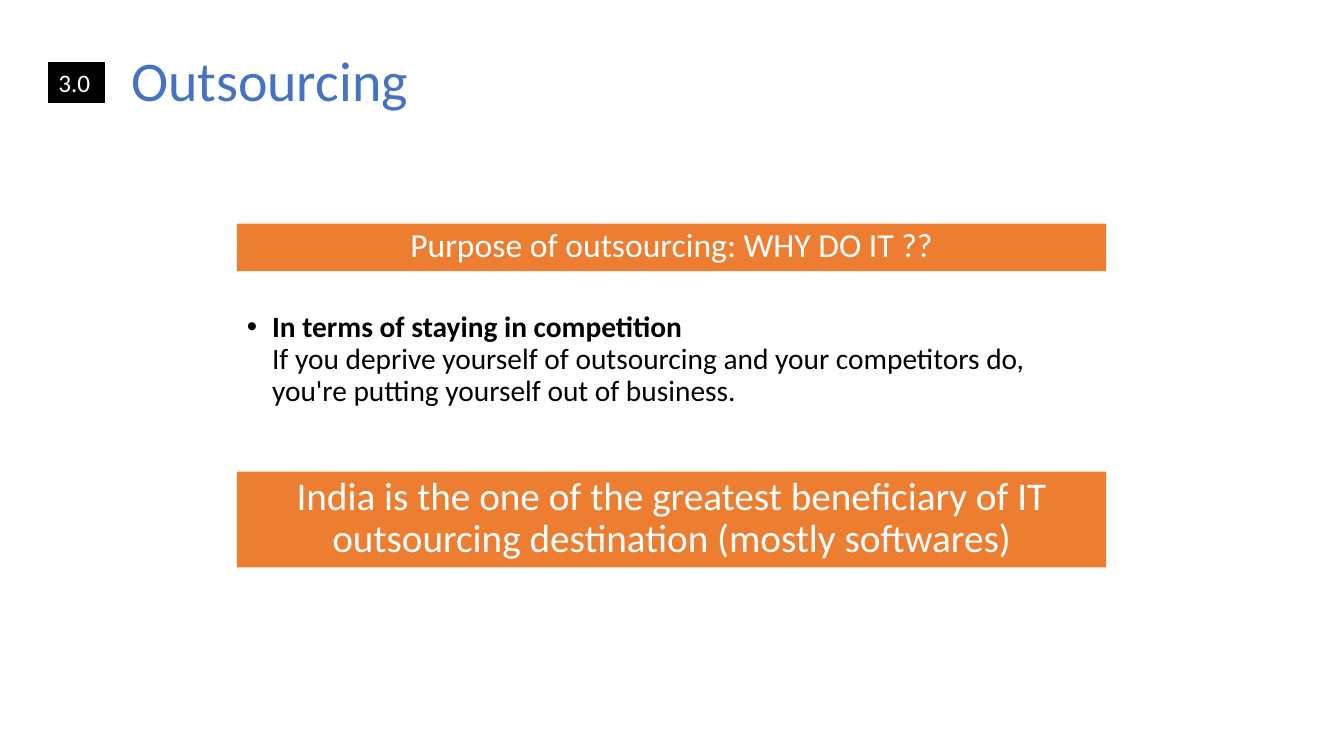
from pptx import Presentation
from pptx.dml.color import RGBColor
from pptx.enum.shapes import MSO_SHAPE as Shape
from pptx.enum.text import MSO_ANCHOR as Anchor, PP_ALIGN as Align
from pptx.oxml.ns import qn
from pptx.util import Inches, Pt
from lxml.etree import SubElement

TITLE = "Outsourcing"
NUMBER = "3.0"
POINT = (
    "In terms of staying in competition",
    "If you deprive yourself of outsourcing and your competitors do, "
    "you're putting yourself out of business.",
)
BANNERS = [
    ("Purpose of outsourcing: WHY DO IT ??", 2.22, 0.47, 24),
    ("India is the one of the greatest beneficiary of IT "
     "outsourcing destination (mostly softwares)", 4.68, 0.95, 28),
]
COLORS = {"title": "4472C4", "banner": "ED7D31", "badge": "000000",
          "text": "000000", "light": "FFFFFF"}
FONT = "Calibri"
COLUMN_LEFT, COLUMN_WIDTH = 2.35, 8.62


def color(name):
    return RGBColor.from_string(COLORS[name])


def style(para, size, tint, align=Align.LEFT, spacing=0.9):
    para.alignment = align
    para.line_spacing = spacing
    para.font.name = FONT
    para.font.size = Pt(size)
    para.font.color.rgb = color(tint)


def add_block(page, place, fill, text, size, align, spacing):
    block = page.shapes.add_shape(Shape.RECTANGLE, *map(Inches, place))
    block.shadow.inherit = False
    block.fill.solid()
    block.fill.fore_color.rgb = color(fill)
    block.line.fill.background()
    frame = block.text_frame
    frame.word_wrap = True
    frame.vertical_anchor = Anchor.TOP
    frame.text = text
    style(frame.paragraphs[0], size, "light", align, spacing)
    return block


def add_point(page):
    place = (COLUMN_LEFT, 3.05, COLUMN_WIDTH, 1.06)
    box = page.shapes.add_textbox(*map(Inches, place))
    box.text_frame.word_wrap = True
    para = box.text_frame.paragraphs[0]
    props = para._p.get_or_add_pPr()
    props.set("marL", str(Inches(0.25)))
    props.set("indent", str(Inches(-0.25)))
    SubElement(props, qn("a:buFont")).set("typeface", "Arial")
    SubElement(props, qn("a:buChar")).set("char", "•")
    style(para, 21, "text")
    heading, detail = POINT
    span = para.add_run()
    span.text = heading
    span.font.bold = True
    para.add_line_break()
    para.add_run().text = detail


def main():
    deck = Presentation()
    deck.slide_width, deck.slide_height = Inches(13.33), Inches(7.5)
    page = deck.slides.add_slide(deck.slide_layouts[5])

    title = page.shapes.title
    title.left, title.top, title.width, title.height = map(
        Inches, (1.2, 0.4, 11.7, 0.85))
    title.text_frame.text = TITLE
    title.text_frame.vertical_anchor = Anchor.MIDDLE
    style(title.text_frame.paragraphs[0], 40, "title")

    for text, top, height, size in BANNERS:
        place = (COLUMN_LEFT, top, COLUMN_WIDTH, height)
        add_block(page, place, "banner", text, size, Align.CENTER, 0.9)
    add_point(page)

    badge = add_block(page, (0.48, 0.62, 0.56, 0.4), "badge",
                      NUMBER, 18, Align.LEFT, 1.0)
    badge.line.color.rgb = color("badge")
    badge.line.width = Pt(1)

    deck.save("out.pptx")


if __name__ == "__main__":
    main()
